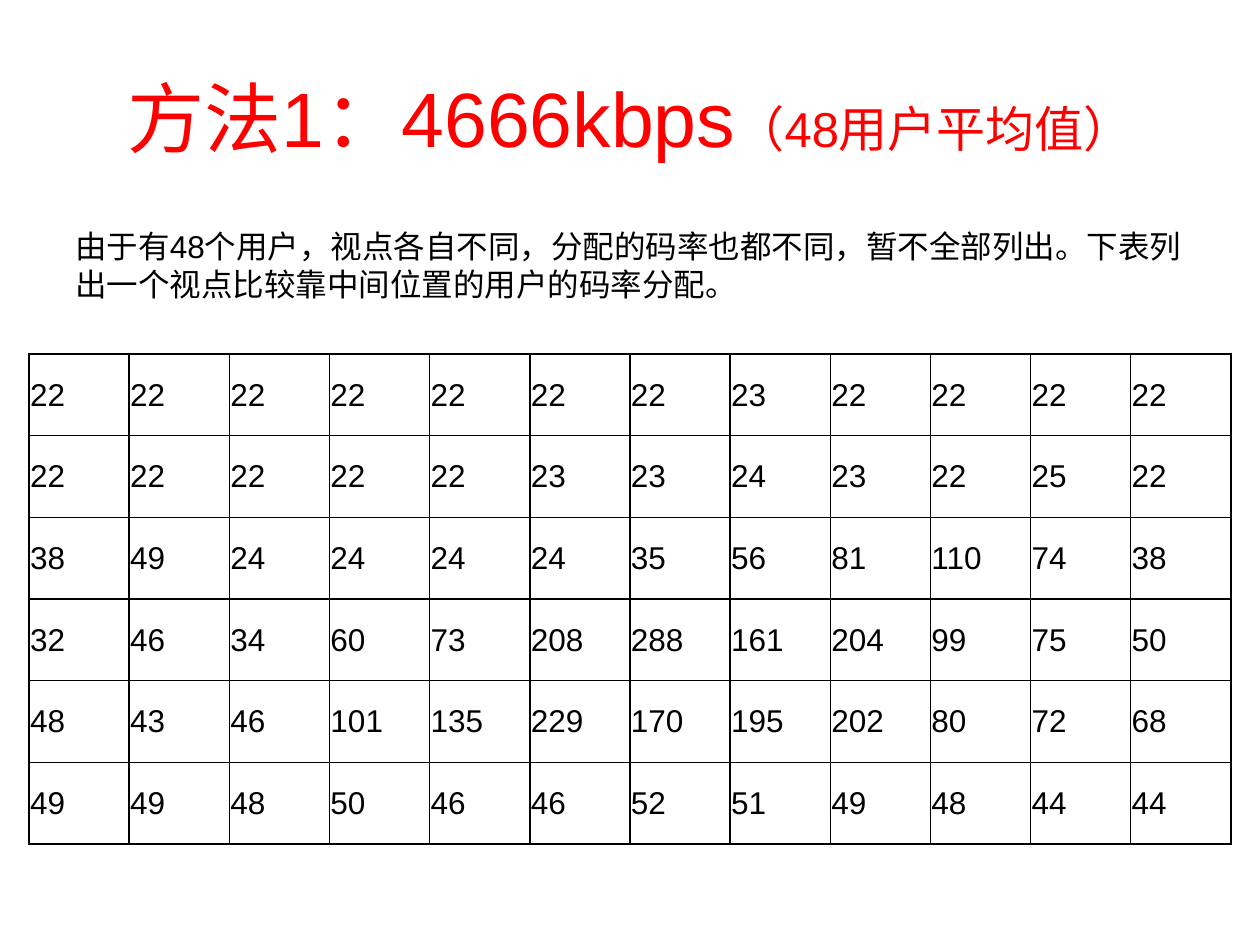
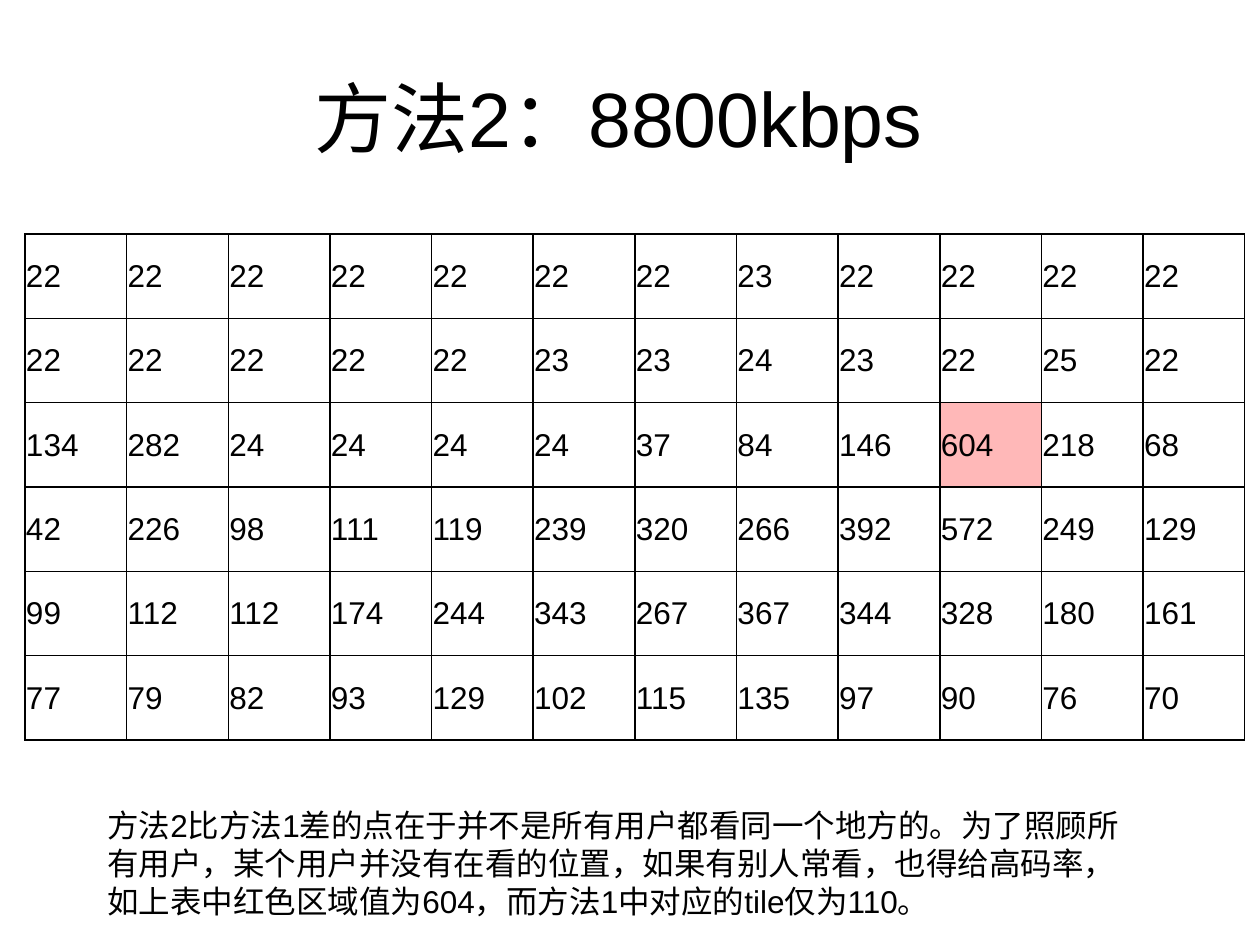
from dataclasses import dataclass

from lxml import etree
from pptx import Presentation
from pptx.dml.color import RGBColor
from pptx.enum.text import MSO_ANCHOR, MSO_AUTO_SIZE, PP_ALIGN
from pptx.oxml.ns import qn
from pptx.util import Emu, Pt

# Shared look
EMU_PER_PIXEL = 914400 / 126
COLORS = {"text": "000000", "accent": "FF0000", "border": "000000"}
FONT = "Arial"
TITLE_SIZE, SUBTITLE_SIZE, TEXT_SIZE = 44, 28, 18
BORDER_WIDTH = Pt(1)
HIGHLIGHT_OPACITY = 28
BLANK_LAYOUT = 6
LEFT, CENTER = PP_ALIGN.LEFT, PP_ALIGN.CENTER
TOP, MIDDLE = MSO_ANCHOR.TOP, MSO_ANCHOR.MIDDLE
FIXED, GROW = MSO_AUTO_SIZE.NONE, MSO_AUTO_SIZE.SHAPE_TO_FIT_TEXT


@dataclass(frozen=True)
class Box:
    left: int
    top: int
    width: int
    height: int

    def emu(self) -> list[Emu]:
        return [pixels(n) for n in (self.left, self.top, self.width, self.height)]


@dataclass(frozen=True)
class TextRun:
    text: str
    size: int = TEXT_SIZE
    color: str = "text"


@dataclass(frozen=True)
class TextBlock:
    box: Box
    runs: tuple[TextRun, ...]
    align: int = LEFT
    anchor: int = TOP
    auto_size: int = FIXED


@dataclass(frozen=True)
class RateTable:
    box: Box
    rows: tuple[tuple[int, ...], ...]
    highlight: tuple[int, int] | None = None


@dataclass(frozen=True)
class SlideContent:
    title: TextBlock
    note: TextBlock
    table: RateTable


def pixels(count: int) -> Emu:
    return Emu(round(count * EMU_PER_PIXEL))


def title_block(box: Box, *runs: TextRun) -> TextBlock:
    return TextBlock(box, runs, CENTER, MIDDLE)


def format_run(run, size: int, color: str) -> None:
    run.font.name = FONT
    run.font.size = Pt(size)
    run.font.color.rgb = RGBColor.from_string(COLORS[color])


def add_text(slide, block: TextBlock) -> None:
    text_frame = slide.shapes.add_textbox(*block.box.emu()).text_frame
    text_frame.word_wrap = True
    text_frame.auto_size = block.auto_size
    text_frame.vertical_anchor = block.anchor
    paragraph = text_frame.paragraphs[0]
    paragraph.alignment = block.align
    for text_run in block.runs:
        run = paragraph.add_run()
        run.text = text_run.text
        format_run(run, text_run.size, text_run.color)


def add_borders(cell) -> None:
    properties = cell._tc.get_or_add_tcPr()
    for side in ("lnL", "lnR", "lnT", "lnB"):
        line = etree.SubElement(properties, qn(f"a:{side}"), w=str(BORDER_WIDTH))
        fill = etree.SubElement(line, qn("a:solidFill"))
        etree.SubElement(fill, qn("a:srgbClr"), val=COLORS["border"])


def highlight_cell(cell) -> None:
    cell.fill.solid()
    cell.fill.fore_color.rgb = RGBColor.from_string(COLORS["accent"])
    color = cell._tc.tcPr.find(f"{qn('a:solidFill')}/{qn('a:srgbClr')}")
    etree.SubElement(color, qn("a:alpha"), val=str(HIGHLIGHT_OPACITY * 1000))


def add_rate_table(slide, content: RateTable) -> None:
    row_count, column_count = len(content.rows), len(content.rows[0])
    table = slide.shapes.add_table(row_count, column_count, *content.box.emu()).table
    table.first_row = table.horz_banding = False
    for row_index, row in enumerate(content.rows):
        for column_index, rate in enumerate(row):
            cell = table.cell(row_index, column_index)
            cell.margin_left = cell.margin_right = cell.margin_top = pixels(1)
            cell.margin_bottom = 0
            cell.vertical_anchor = MIDDLE
            cell.text_frame.text = str(rate)
            format_run(cell.text_frame.paragraphs[0].runs[0], TEXT_SIZE, "text")
            add_borders(cell)
            if (row_index, column_index) == content.highlight:
                highlight_cell(cell)
            else:
                cell.fill.background()


# Both methods give the two upper tile rows the same rates
UPPER_ROWS = (
    (22, 22, 22, 22, 22, 22, 22, 23, 22, 22, 22, 22),
    (22, 22, 22, 22, 22, 23, 23, 24, 23, 22, 25, 22),
)

SLIDES = (
    # Method 1: rates of one user
    SlideContent(
        title=title_block(
            Box(63, 38, 1134, 157),
            TextRun("方法1：4666kbps", TITLE_SIZE, "accent"),
            TextRun("（48用户平均值）", SUBTITLE_SIZE, "accent"),
        ),
        note=TextBlock(
            Box(63, 221, 1134, 624),
            (TextRun("由于有48个用户，视点各自不同，分配的码率也都不同，暂不全部列出。"
                     "下表列出一个视点比较靠中间位置的用户的码率分配。"),),
        ),
        table=RateTable(
            Box(29, 354, 1202, 490),
            UPPER_ROWS + (
                (38, 49, 24, 24, 24, 24, 35, 56, 81, 110, 74, 38),
                (32, 46, 34, 60, 73, 208, 288, 161, 204, 99, 75, 50),
                (48, 43, 46, 101, 135, 229, 170, 195, 202, 80, 72, 68),
                (49, 49, 48, 50, 46, 46, 52, 51, 49, 48, 44, 44),
            ),
        ),
    ),
    # Method 2: rates shared by all users
    SlideContent(
        title=title_block(
            Box(40, 38, 1157, 157),
            TextRun("方法2：8800kbps", TITLE_SIZE),
        ),
        note=TextBlock(
            Box(95, 800, 1052, 127),
            (TextRun("方法2比方法1差的点在于并不是所有用户都看同一个地方的。"
                     "为了照顾所有用户，某个用户并没有在看的位置，如果有别人常看，"
                     "也得给高码率，如上表中红色区域值为604，"
                     "而方法1中对应的tile仅为110。"),),
            auto_size=GROW,
        ),
        table=RateTable(
            Box(25, 234, 1220, 506),
            UPPER_ROWS + (
                (134, 282, 24, 24, 24, 24, 37, 84, 146, 604, 218, 68),
                (42, 226, 98, 111, 119, 239, 320, 266, 392, 572, 249, 129),
                (99, 112, 112, 174, 244, 343, 267, 367, 344, 328, 180, 161),
                (77, 79, 82, 93, 129, 102, 115, 135, 97, 90, 76, 70),
            ),
            highlight=(2, 9),
        ),
    ),
)


def main() -> None:
    presentation = Presentation()
    presentation.slide_width = pixels(1260)
    presentation.slide_height = pixels(945)
    for content in SLIDES:
        slide = presentation.slides.add_slide(presentation.slide_layouts[BLANK_LAYOUT])
        add_text(slide, content.title)
        add_text(slide, content.note)
        add_rate_table(slide, content.table)
    presentation.save("out.pptx")


main()
